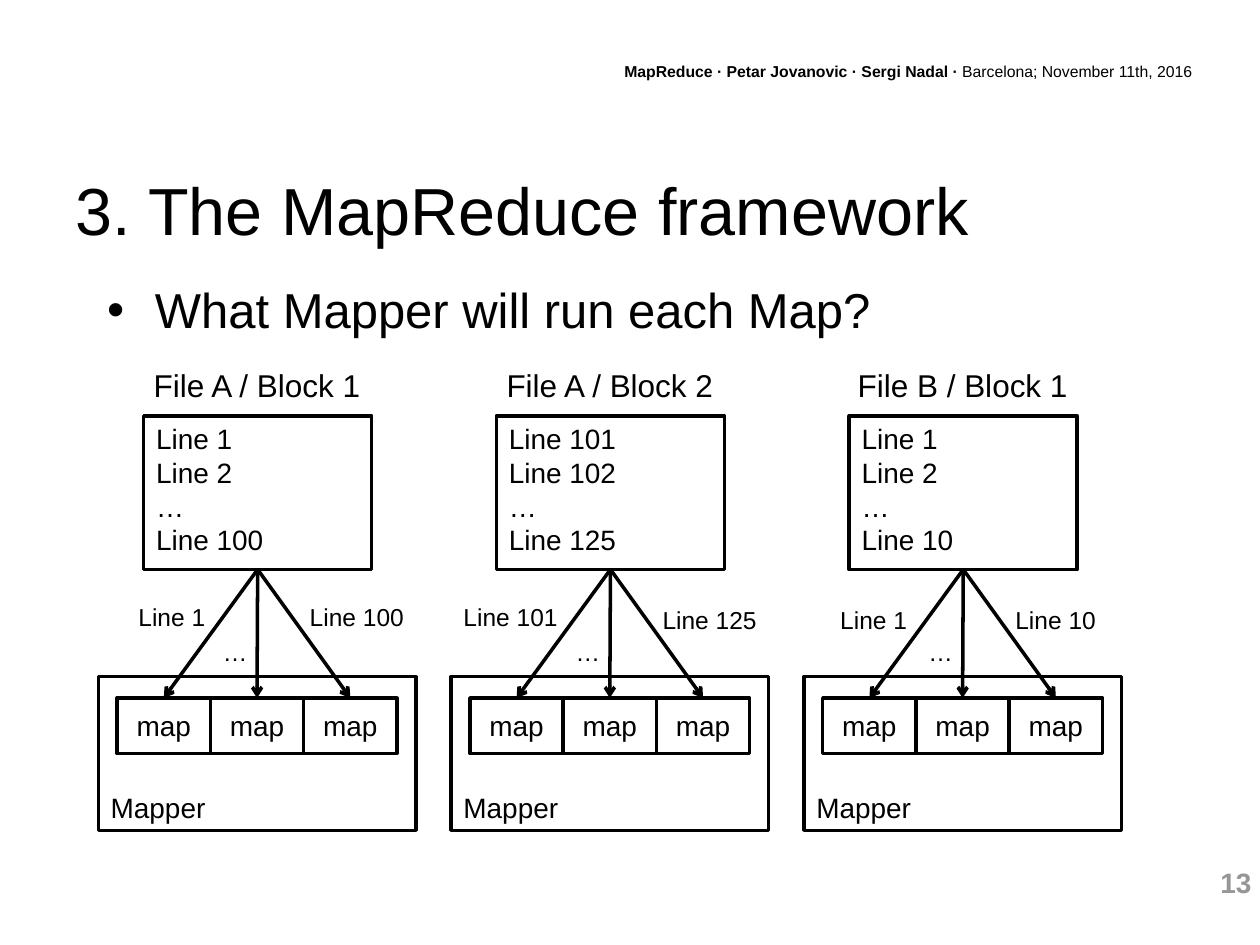
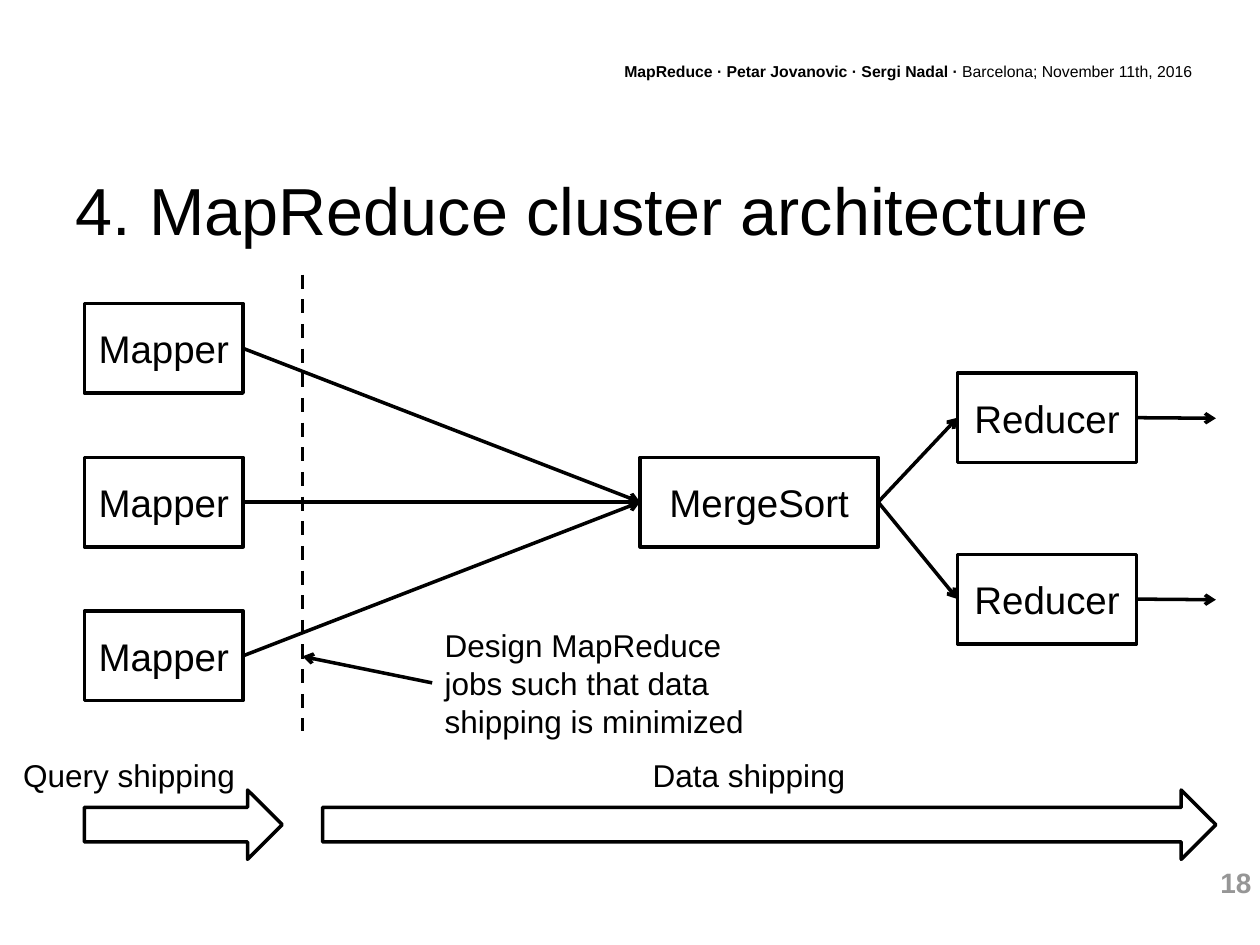
"""Build two MapReduce slides: block-to-mapper assignment and cluster architecture."""
from dataclasses import dataclass
from typing import NamedTuple

from lxml.etree import SubElement
from pptx import Presentation
from pptx.dml.color import RGBColor
from pptx.enum.dml import MSO_LINE_DASH_STYLE as Dash
from pptx.enum.shapes import MSO_CONNECTOR as Connector, MSO_SHAPE as Preset
from pptx.enum.text import MSO_ANCHOR as Anchor, MSO_AUTO_SIZE as AutoSize, PP_ALIGN as Align
from pptx.oxml.ns import qn
from pptx.util import Pt

PX = 9144
TOP, LEFT, BOTTOM, RIGHT = range(4)


@dataclass(frozen=True)
class Theme:
    """Colours, typeface and sizes shared by the slides."""
    font: str = "Arial"
    ink: RGBColor = RGBColor(0, 0, 0)
    muted: RGBColor = RGBColor(0x96, 0x96, 0x96)
    stroke: int = 2
    title: int = 38
    bullet: int = 28
    node: int = 22
    caption: int = 18
    block: int = 16
    label: int = 14
    header: int = 9


THEME = Theme()


class Box(NamedTuple):
    """A rectangle in px."""
    x: int
    y: int
    w: int
    h: int

    def inner(self, dx, dy, w, h):
        """Return a rectangle offset from this one's top left corner."""
        return Box(self.x + dx, self.y + dy, w, h)

    def emu(self):
        """Return left, top, width and height in EMU."""
        return [side * PX for side in self]


class FileBlock(NamedTuple):
    """One file block, with the placement of its arrow labels."""
    name: str
    lines: tuple
    first_dx: int
    first_dy: int
    last_dy: int


FILE_BLOCKS = (
    FileBlock("File A / Block 1", ("Line 1", "Line 2", "…", "Line 100"), 22, 187, 187),
    FileBlock("File A / Block 2", ("Line 101", "Line 102", "…", "Line 125"), 0, 187, 189),
    FileBlock("File B / Block 1", ("Line 1", "Line 2", "…", "Line 10"), 19, 189, 189),
)


def style_font(font, size, color=THEME.ink, bold=False):
    """Apply the theme typeface with a size, colour and weight."""
    font.name, font.size, font.bold = THEME.font, Pt(size), bold
    font.color.rgb = color


def write(frame, lines, size, align=Align.LEFT, anchor=Anchor.TOP, color=THEME.ink, bold=False):
    """Fill a text frame with one paragraph per line."""
    frame.word_wrap = True
    frame.auto_size = AutoSize.NONE
    frame.vertical_anchor = anchor
    frame.text = "\n".join(lines)
    for paragraph in frame.paragraphs:
        paragraph.alignment = align
        style_font(paragraph.font, size, color, bold)


def add_label(slide, box, text, size, align=Align.LEFT, **look):
    """Add a free-standing line of text."""
    label = slide.shapes.add_textbox(*box.emu())
    write(label.text_frame, [text], size, align, **look)


def add_outline(slide, box, preset=Preset.RECTANGLE):
    """Add an unfilled shape with the theme stroke."""
    outline = slide.shapes.add_shape(preset, *box.emu())
    outline.shadow.inherit = False
    outline.fill.background()
    outline.line.color.rgb = THEME.ink
    outline.line.width = Pt(THEME.stroke)
    return outline


def add_node(slide, box, lines, size, align=Align.CENTER, anchor=Anchor.MIDDLE):
    """Add an outlined rectangle holding text."""
    node = add_outline(slide, box)
    write(node.text_frame, lines, size, align, anchor)
    return node


def add_line(slide, start=(0, 0), end=(0, 0), arrow=True, dash=None):
    """Add a straight line, with an arrowhead at its end unless told otherwise."""
    ends = [length * PX for length in (*start, *end)]
    line = slide.shapes.add_connector(Connector.STRAIGHT, *ends)
    line.line.color.rgb = THEME.ink
    line.line.width = Pt(THEME.stroke)
    if dash:
        line.line.dash_style = dash
    properties = line._element.spPr
    if arrow:
        SubElement(properties.find(qn("a:ln")), qn("a:tailEnd"), type="arrow")
    SubElement(properties, qn("a:effectLst"))
    return line


def link(slide, source, source_site, target, target_site):
    """Glue an arrow between the connection sites of two nodes."""
    arrow = add_line(slide)
    arrow.begin_connect(source, source_site)
    arrow.end_connect(target, target_site)


def add_header(slide, box):
    """Add the running header with its bold authors and plain date."""
    header = slide.shapes.add_textbox(*box.emu()).text_frame
    header.word_wrap = True
    credit = header.paragraphs[0]
    credit.alignment = Align.RIGHT
    style_font(credit.font, THEME.header)
    for text, bold in (("MapReduce · Petar Jovanovic · Sergi Nadal · ", True),
                       ("Barcelona; November 11th, 2016", False)):
        run = credit.add_run()
        run.text = text
        run.font.bold = bold


def place(placeholder, box):
    """Move a placeholder into a box."""
    placeholder.left, placeholder.top, placeholder.width, placeholder.height = box.emu()


def start_slide(deck, layout, title, number):
    """Add a slide with the shared title, header and page number."""
    slide = deck.slides.add_slide(deck.slide_layouts.get_by_name(layout))
    place(slide.shapes.title, Box(50, 123, 900, 86))
    write(slide.shapes.title.text_frame, [title], THEME.title, anchor=Anchor.MIDDLE)
    add_header(slide, Box(476, 44, 480, 25))
    add_label(slide, Box(876, 682, 127, 37), str(number), THEME.block, Align.RIGHT,
              color=THEME.muted, bold=True)
    return slide


def add_question(slide, box, text):
    """Put the bulleted question in the body placeholder."""
    question = slide.placeholders[1]
    place(question, box)
    write(question.text_frame, [text], THEME.bullet)
    paragraph = question.text_frame.paragraphs[0]
    paragraph.space_before = Pt(7)
    indents = paragraph._p.get_or_add_pPr()
    indents.set("marL", str(38 * PX))
    indents.set("indent", str(-38 * PX))


def add_block_column(slide, box, block):
    """Draw a file block whose lines feed the maps of one mapper."""
    add_label(slide, box.inner(20, 0, 212, 40), block.name, THEME.caption, Align.CENTER)
    source = add_node(slide, box.inner(36, 44, 181, 122), block.lines, THEME.block,
                      Align.LEFT, Anchor.TOP)
    add_node(slide, box.inner(0, box.h - 122, box.w, 122), ["Mapper"], THEME.block,
             Align.LEFT, Anchor.BOTTOM)
    for position in range(3):
        target = add_node(slide, box.inner(15 + 74 * position, 268, 74, 44), ["map"], THEME.block)
        link(slide, source, BOTTOM, target, TOP)
    for text, dx, dy, width in ((block.lines[0], block.first_dx, block.first_dy, 95),
                                (block.lines[-1], 158, block.last_dy, 95),
                                ("…", 89, 215, 63)):
        add_label(slide, box.inner(dx, dy, width, 34), text, THEME.label)


def add_cluster(slide, box):
    """Draw mappers, merge and reducers from left to right."""
    merge = add_node(slide, box.inner(441, 122, 189, 71), ["MergeSort"], THEME.node)
    for row in range(3):
        mapper = add_node(slide, box.inner(0, 122 * row, 126, 71), ["Mapper"], THEME.node)
        link(slide, mapper, RIGHT, merge, LEFT)
    for row in range(2):
        reducer_box = box.inner(693, 55 + 144 * row, 142, 71)
        reducer = add_node(slide, reducer_box, ["Reducer"], THEME.node)
        link(slide, merge, RIGHT, reducer, LEFT)
        output = add_line(slide, end=(box.x + box.w, reducer_box.y + 36))
        output.begin_connect(reducer, RIGHT)


def add_boundary(slide, box):
    """Draw the dashed shipping boundary and the advice pointing at it."""
    add_line(slide, (box.x, box.y), (box.x, box.y + box.h), arrow=False, dash=Dash.DASH)
    advice = box.inner(103, 274, 265, 100)
    add_label(slide, advice, "Design MapReduce jobs such that data shipping is minimized",
              THEME.caption)
    add_line(slide, (advice.x, advice.y + 50), (box.x, box.y + 303))


def add_shipping(slide, box):
    """Draw the captioned phase arrows along the bottom."""
    for caption, caption_dx, caption_width, arrow_dx, arrow_width in (
            ("Query shipping", 0, 197, 63, 157), ("Data shipping", 252, 677, 252, 709)):
        add_outline(slide, box.inner(arrow_dx, 32, arrow_width, 55), Preset.RIGHT_ARROW)
        add_label(slide, box.inner(caption_dx, 0, caption_width, 40), caption,
                  THEME.caption, Align.CENTER)


def build_framework(deck):
    """Build the slide assigning file blocks to mappers."""
    slide = start_slide(deck, "Title and Content", "3. The MapReduce framework", 13)
    add_question(slide, Box(75, 217, 875, 63), "What Mapper will run each Map?")
    for column, block in enumerate(FILE_BLOCKS):
        add_block_column(slide, Box(78 + 280 * column, 286, 252, 373), block)


def build_architecture(deck):
    """Build the slide showing the cluster architecture."""
    slide = start_slide(deck, "Title Only", "4. MapReduce cluster architecture", 18)
    add_cluster(slide, Box(67, 241, 898, 315))
    add_boundary(slide, Box(240, 218, 368, 362))
    add_shipping(slide, Box(4, 595, 961, 87))


def main():
    """Build and save the deck."""
    deck = Presentation()
    deck.slide_width, deck.slide_height = 1000 * PX, 750 * PX
    build_framework(deck)
    build_architecture(deck)
    deck.save("out.pptx")


if __name__ == "__main__":
    main()
